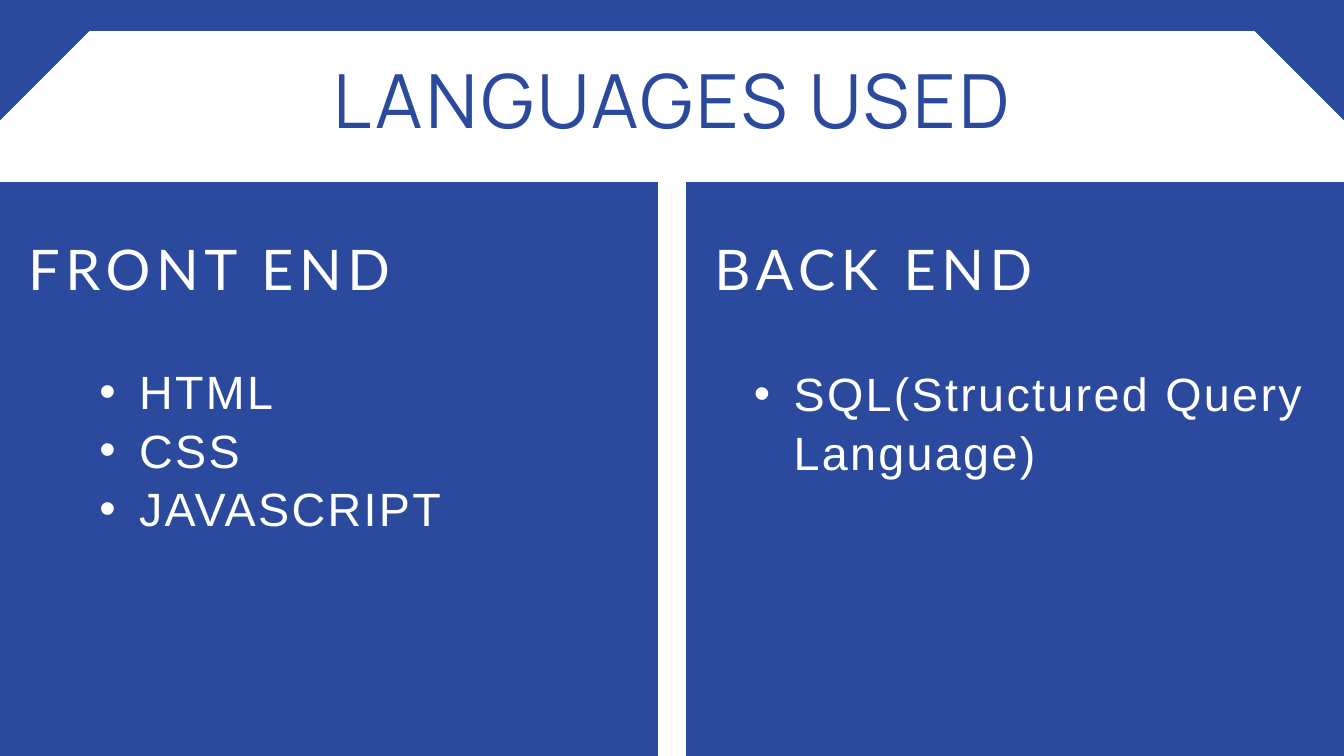
from dataclasses import dataclass

from lxml.etree import SubElement
from pptx import Presentation
from pptx.dml.color import RGBColor
from pptx.enum.shapes import MSO_SHAPE
from pptx.enum.text import MSO_ANCHOR, MSO_AUTO_SIZE, PP_ALIGN
from pptx.oxml.ns import qn
from pptx.util import Inches, Pt


@dataclass(frozen=True)
class TextStyle:
    font: str
    size: int
    color: RGBColor
    tracking: float
    leading: float
    align: PP_ALIGN = PP_ALIGN.LEFT
    bulleted: bool = False


class Theme:
    blue = RGBColor(0x2B, 0x4A, 0x9D)
    white = RGBColor(0xFF, 0xFF, 0xFF)
    title = TextStyle("Manrope", 80, blue, 4, 84, PP_ALIGN.CENTER)
    heading = TextStyle("Lato", 60, white, 6, 84)
    bullets = TextStyle("Arial", 50, white, 2.5, 62.5, bulleted=True)


TITLE = "LANGUAGES USED"
# heading, languages, list offset from the column's left, list top
COLUMNS = [
    ("FRONT END", ["HTML", "CSS", "JAVASCRIPT"], 0.89, 5.37),
    ("BACK END", ["SQL(Structured Query Language)"], 0.42, 5.4),
]

WIDTH, HEIGHT = 20, 11.25
GUTTER = 0.42
PANEL_TOP = 2.71
PANEL_WIDTH = (WIDTH - GUTTER) / 2
TEXT_WIDTH = 8.95
BAND_HEIGHT = 0.46
CORNER = 1.79
BULLET_INDENT = 0.59


def add_backdrop(slide, preset, left, top, width, height, rotation=0):
    """Add a blue shape behind the placeholders."""
    block = slide.shapes.add_shape(
        preset, Inches(left), Inches(top), Inches(width), Inches(height))
    block.rotation = rotation
    block.shadow.inherit = False
    block.fill.solid()
    block.fill.fore_color.rgb = Theme.blue
    block.line.fill.background()
    slide.shapes._spTree.insert(2, block._element)


def add_bullet(paragraph):
    properties = paragraph._p.get_or_add_pPr()
    properties.set("marL", str(Inches(2 * BULLET_INDENT)))
    properties.set("indent", str(-Inches(BULLET_INDENT)))
    SubElement(properties, qn("a:buFont")).set("typeface", "Arial")
    SubElement(properties, qn("a:buChar")).set("char", "•")


def fill_placeholder(placeholder, lines, style, left, top, width, height):
    placeholder.left, placeholder.top = Inches(left), Inches(top)
    placeholder.width, placeholder.height = Inches(width), Inches(height)
    frame = placeholder.text_frame
    frame.margin_left = frame.margin_right = 0
    frame.margin_top = frame.margin_bottom = 0
    frame.word_wrap = True
    frame.auto_size = MSO_AUTO_SIZE.NONE
    frame.vertical_anchor = MSO_ANCHOR.TOP
    for index, line in enumerate(lines):
        paragraph = frame.add_paragraph() if index else frame.paragraphs[0]
        if style.bulleted:
            add_bullet(paragraph)
        paragraph.alignment = style.align
        paragraph.line_spacing = Pt(style.leading)
        paragraph.space_before = Pt(0)
        run = paragraph.add_run()
        run.text = line
        run.font.name = style.font
        run.font.size = Pt(style.size)
        run.font.bold = False
        run.font.color.rgb = style.color
        run._r.get_or_add_rPr().set("spc", str(int(style.tracking * 100)))


def main():
    deck = Presentation()
    deck.slide_width, deck.slide_height = Inches(WIDTH), Inches(HEIGHT)
    comparison = deck.slide_layouts.get_by_name("Comparison")
    slide = deck.slides.add_slide(comparison)
    title, *column_parts = [
        part for part in slide.placeholders
        if part.placeholder_format.idx < 5]

    fill_placeholder(title, [TITLE], Theme.title, 1.62, 0.97, 16.76, 1.3)
    add_backdrop(slide, MSO_SHAPE.RECTANGLE, 0, 0, WIDTH, BAND_HEIGHT)
    for left, rotation in ((0, 90), (WIDTH - CORNER, 180)):
        add_backdrop(slide, MSO_SHAPE.RIGHT_TRIANGLE,
                     left, 0, CORNER, CORNER, rotation)

    for number, (heading, languages, offset, list_top) in enumerate(COLUMNS):
        left = number * (PANEL_WIDTH + GUTTER)
        add_backdrop(slide, MSO_SHAPE.RECTANGLE,
                     left, PANEL_TOP, PANEL_WIDTH, HEIGHT - PANEL_TOP)
        heading_part, list_part = column_parts[2 * number:2 * number + 2]
        fill_placeholder(heading_part, [heading], Theme.heading,
                         left + GUTTER, 3.33, TEXT_WIDTH, 1.14)
        list_height = 2.59 if len(languages) > 1 else 1.73
        fill_placeholder(list_part, languages, Theme.bullets,
                         left + offset, list_top, TEXT_WIDTH, list_height)

    deck.save("out.pptx")


if __name__ == "__main__":
    main()
